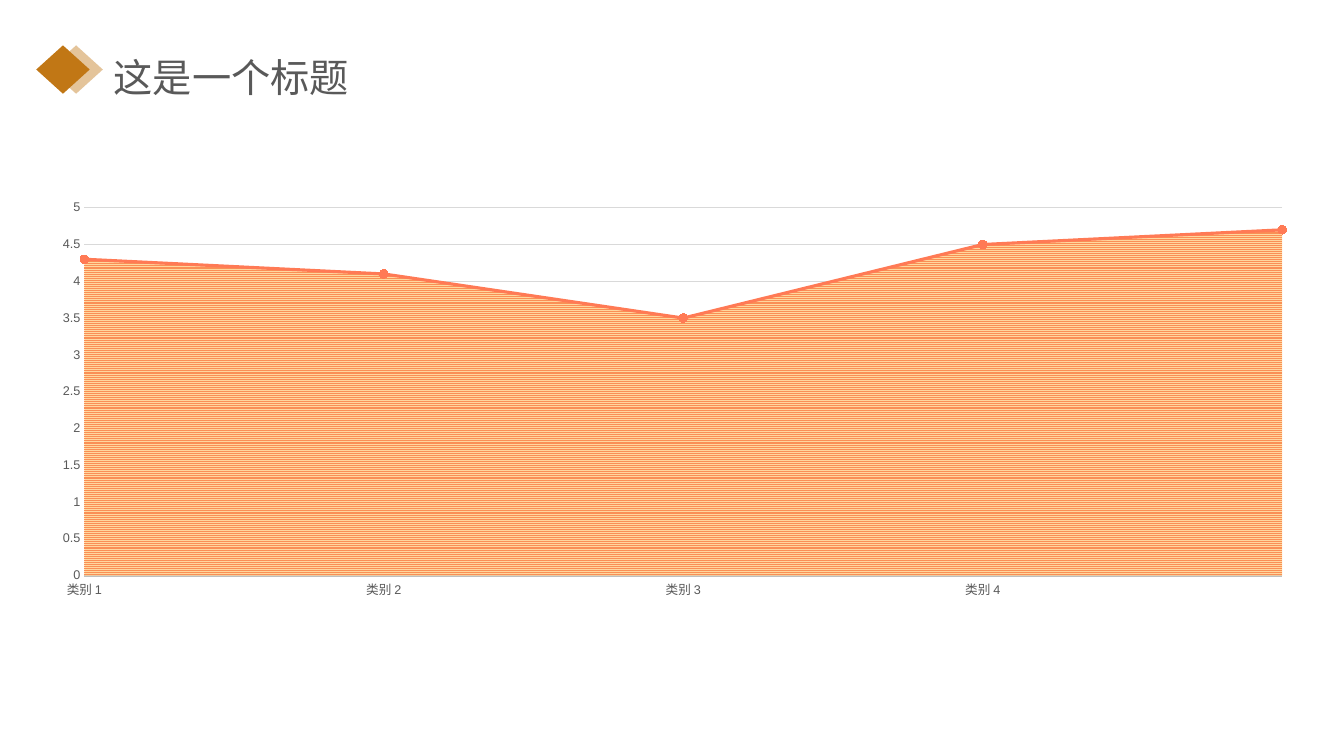
from copy import deepcopy

from lxml.etree import SubElement
from pptx import Presentation
from pptx.chart.data import CategoryChartData
from pptx.dml.color import RGBColor
from pptx.enum.chart import XL_CHART_TYPE, XL_MARKER_STYLE, XL_TICK_MARK
from pptx.enum.dml import MSO_PATTERN
from pptx.enum.shapes import MSO_SHAPE
from pptx.enum.text import MSO_AUTO_SIZE
from pptx.oxml import parse_xml
from pptx.oxml.ns import nsdecls, qn
from pptx.util import Inches, Pt

COLORS = {
    "text": "595959",
    "diamond": "C17715",
    "stripe": "FA8F55",
    "stripe_back": "FFD79D",
    "line": "FF7A55",
    "empty_line": "DF735C",
    "axis": "BFBFBF",
    "grid": "D9D9D9",
}
CATEGORIES = ["类别 1", "类别 2", "类别 3", "类别 4", ""]
VALUES = [4.3, 4.1, 3.5, 4.5, 4.7]


def color(name):
    return RGBColor.from_string(COLORS[name])


def add_text(page, text, left, top, width, height, *, size, font, fill):
    box = page.shapes.add_textbox(Inches(left), Inches(top), Inches(width), Inches(height))
    box.text_frame.word_wrap = False
    box.text_frame.auto_size = MSO_AUTO_SIZE.SHAPE_TO_FIT_TEXT
    span = box.text_frame.paragraphs[0].add_run()
    span.text = text
    span.font.size = Pt(size)
    span.font.name = font
    span.font.color.rgb = color(fill)
    SubElement(span.font._element, qn("a:ea"), typeface=font)


def add_diamond(group, left, opacity=100):
    diamond = group.shapes.add_shape(
        MSO_SHAPE.DIAMOND, Inches(left), Inches(0.45), Inches(0.53), Inches(0.48))
    diamond.shadow.inherit = False
    diamond.fill.solid()
    diamond.fill.fore_color.rgb = color("diamond")
    diamond.line.fill.background()
    if opacity < 100:
        tint = diamond._element.spPr.find(".//" + qn("a:srgbClr"))
        SubElement(tint, qn("a:alpha"), val=str(opacity * 1000))


def style_axis(axis):
    axis.major_tick_mark = axis.minor_tick_mark = XL_TICK_MARK.NONE
    axis.tick_labels.font.size = Pt(9)
    axis.tick_labels.font.name = "Arial"
    axis.tick_labels.font.color.rgb = color("text")


def style_line(series, name):
    series.smooth = False
    series.format.line.color.rgb = color(name)
    series.format.line.width = Pt(2.25)
    series.marker.style = XL_MARKER_STYLE.CIRCLE
    series.marker.size = 6
    series.marker.format.fill.solid()
    series.marker.format.fill.fore_color.rgb = color(name)
    series.marker.format.line.color.rgb = color(name)


def move_to_area(plot, series):
    """Put a line series into an area plot behind, on the same axes."""
    area = parse_xml(
        f'<c:areaChart {nsdecls("c")}><c:grouping val="standard"/>'
        '<c:varyColors val="0"/></c:areaChart>')
    line_plot = plot._element
    node = series._element
    for tag in ("c:marker", "c:smooth"):
        for child in node.findall(qn(tag)):
            node.remove(child)
    area.append(node)
    for axis_id in line_plot.findall(qn("c:axId")):
        area.append(deepcopy(axis_id))
    line_plot.addprevious(area)


def set_inner_layout(chart, **fractions):
    plot_area = chart._chartSpace.chart.plotArea
    for old in plot_area.findall(qn("c:layout")):
        plot_area.remove(old)
    places = "".join(f'<c:{key} val="{value}"/>' for key, value in fractions.items())
    plot_area.insert(0, parse_xml(
        f'<c:layout {nsdecls("c")}><c:manualLayout><c:layoutTarget val="inner"/>'
        f'<c:xMode val="edge"/><c:yMode val="edge"/>{places}</c:manualLayout></c:layout>'))


def add_area_chart(page):
    data = CategoryChartData()
    data.categories = CATEGORIES
    data.add_series("Series 1", VALUES)
    data.add_series("Series 2", VALUES)
    data.add_series("Series 3", [None] * len(VALUES))
    chart = page.shapes.add_chart(
        XL_CHART_TYPE.LINE_MARKERS, Inches(0.37), Inches(1.91),
        Inches(12.6), Inches(4.1), data).chart
    chart.has_legend = False
    chart.has_title = False
    chart.font.size = Pt(10)
    chart.font.name = "Arial"

    # Axes
    style_axis(chart.category_axis)
    chart.category_axis.format.line.color.rgb = color("axis")
    chart.category_axis.format.line.width = Pt(1.5)
    scale = chart.value_axis
    style_axis(scale)
    scale.minimum_scale, scale.maximum_scale, scale.major_unit = 0, 5, 0.5
    scale.format.line.fill.background()
    scale.major_gridlines.format.line.color.rgb = color("grid")
    scale.major_gridlines.format.line.width = Pt(0.75)

    # Series
    plot = chart.plots[0]
    plot.vary_by_categories = False
    area, line, empty = plot.series
    style_line(line, "line")
    style_line(empty, "empty_line")
    fill = area.format.fill
    fill.patterned()
    fill.pattern = MSO_PATTERN.NARROW_HORIZONTAL
    fill.fore_color.rgb = color("stripe")
    fill.back_color.rgb = color("stripe_back")
    area.format.line.fill.background()
    move_to_area(plot, area)
    set_inner_layout(chart, x=0.037, y=0.037, w=0.943, h=0.89)


def main():
    deck = Presentation()
    deck.slide_width, deck.slide_height = Inches(13.33), Inches(7.5)
    page = deck.slides.add_slide(deck.slide_layouts[6])
    add_area_chart(page)

    # Heading
    add_text(page, "这是一个标题", 1.03, 0.48, 2.53, 0.57,
             size=28, font="Noto Sans CJK SC", fill="text")
    diamonds = page.shapes.add_group_shape()
    add_diamond(diamonds, 0.49, opacity=43)
    add_diamond(diamonds, 0.36)
    deck.save("out.pptx")


if __name__ == "__main__":
    main()
